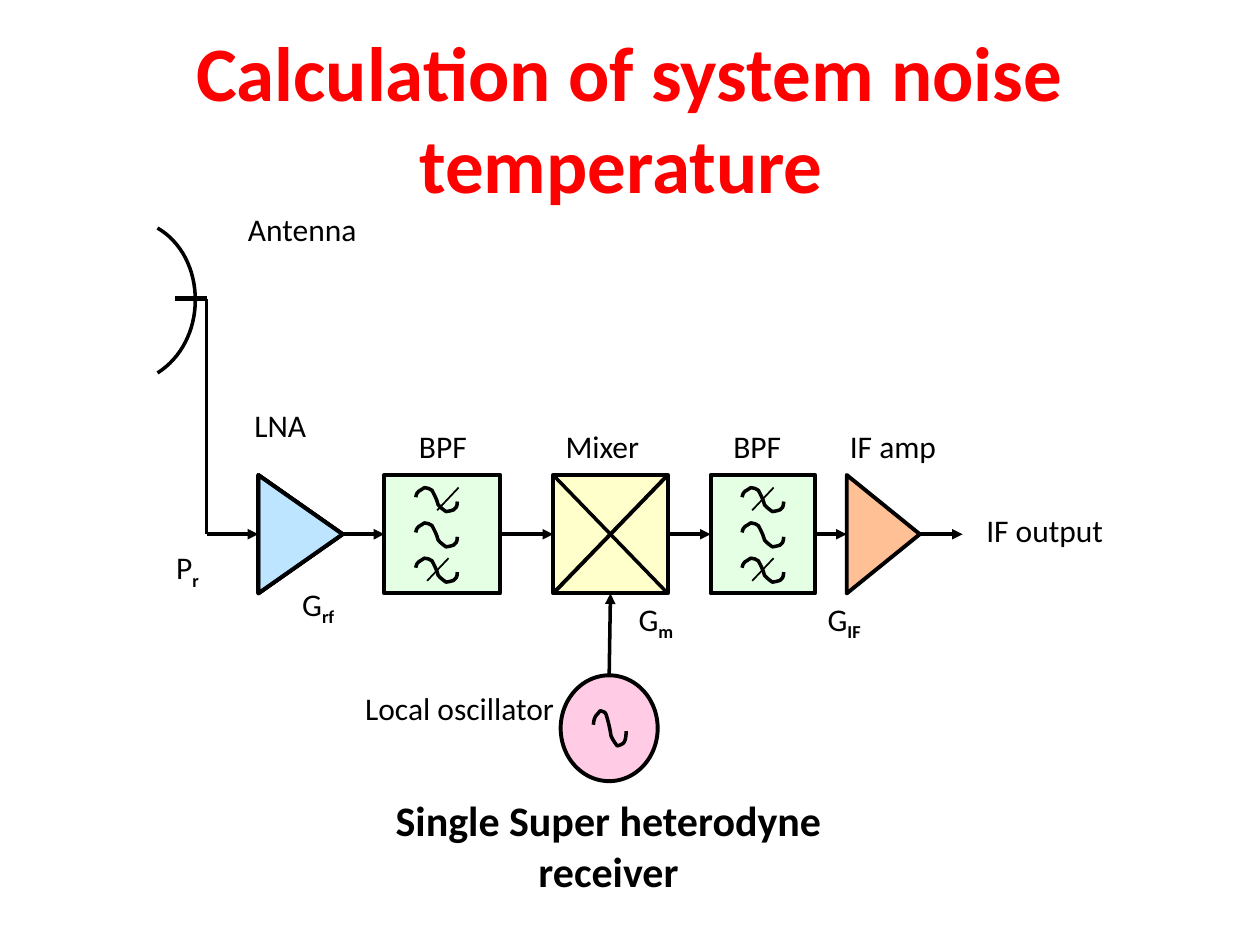
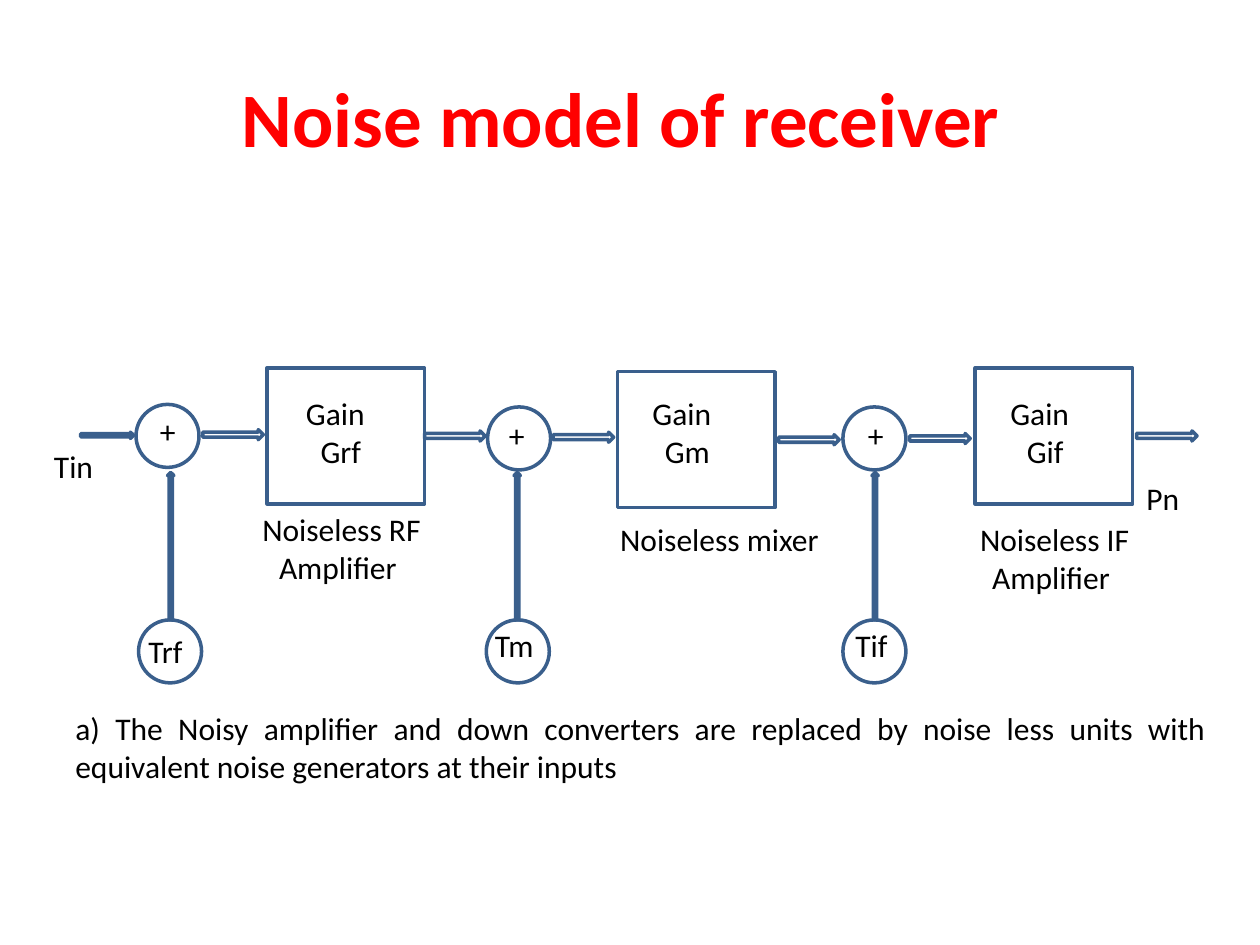
from copy import deepcopy
from dataclasses import dataclass

from lxml import etree
from pptx import Presentation
from pptx.dml.color import RGBColor
from pptx.enum import shapes, text
from pptx.oxml.ns import qn
from pptx.util import Inches, Pt

SHAPE = shapes.MSO_SHAPE
LEFT, CENTER, JUSTIFY = (text.PP_ALIGN.LEFT, text.PP_ALIGN.CENTER,
                         text.PP_ALIGN.JUSTIFY)
TOP_SIDE, LEFT_SIDE, BOTTOM_SIDE, RIGHT_SIDE = range(4)


@dataclass(frozen=True)
class Theme:
    font: str = "Calibri"
    title_color: str = "FF0000"
    ink: str = "000000"
    model_line: str = "3A5F8C"
    filter_fill: str = "CCFFCC"
    mixer_fill: str = "FFFF99"
    oscillator_fill: str = "FF99CC"
    lna_base: str = "CCFFFF"
    lna_tint: str = "99CCFF"
    if_amp_fill: str = "FF6600"
    title_size: int = 44
    caption_size: int = 24
    label_size: int = 18
    wire: float = 2
    outline: float = 2.25


THEME = Theme()

# One wave in a unit square: start, then cubic segments
WAVE_START = (0, 0.4)
WAVE_CURVES = [
    [(0.03, 0.11), (0.09, 0.16), (0.21, 0)],
    [(0.27, 0.05), (0.35, 0), (0.39, 0.11)],
    [(0.44, 0.27), (0.47, 0.37), (0.51, 0.55)],
    [(0.53, 0.6), (0.52, 0.66), (0.54, 0.72)],
    [(0.6, 0.85), (0.73, 1), (0.73, 1)],
    [(0.85, 0.95), (1, 1), (1, 0.58)],
]


def rgb(color):
    return RGBColor.from_string(color)


# Text
def add_text(slide, content, x, y, w, h, *, size=THEME.label_size,
             color=THEME.ink, bold=False, aligns=(LEFT,), wrap=True,
             sub="", middle=False):
    """Lines of content become paragraphs; sub is a bold subscript at the end."""
    box = slide.shapes.add_textbox(Inches(x), Inches(y), Inches(w), Inches(h))
    frame = box.text_frame
    frame.word_wrap = wrap
    if middle:
        frame.vertical_anchor = text.MSO_ANCHOR.MIDDLE
    else:
        frame.auto_size = text.MSO_AUTO_SIZE.SHAPE_TO_FIT_TEXT
    for i, line in enumerate(content.split("\n")):
        paragraph = frame.add_paragraph() if i else frame.paragraphs[0]
        paragraph.alignment = aligns[min(i, len(aligns) - 1)]
        for part in filter(None, (line, sub)):
            run = paragraph.add_run()
            run.text = part
            run.font.name = THEME.font
            run.font.size = Pt(size)
            run.font.bold = bold or part is sub
            run.font.color.rgb = rgb(color)
            if part is sub:
                run._r.get_or_add_rPr().set("baseline", "-25000")


def add_title(slide, title):
    add_text(slide, title, 0.5, 0.3, 9, 1.25, size=THEME.title_size,
             color=THEME.title_color, bold=True, aligns=(CENTER,), middle=True)


# Shapes and lines
def add_block(slide, kind, x, y, w, h, *, fill=None, alpha=50,
              line=THEME.ink, weight=THEME.outline):
    block = slide.shapes.add_shape(kind, Inches(x), Inches(y), Inches(w), Inches(h))
    block.shadow.inherit = False
    block.line.color.rgb = rgb(line)
    block.line.width = Pt(weight)
    if fill is None:
        block.fill.background()
        return block
    block.fill.solid()
    block.fill.fore_color.rgb = rgb(fill)
    color = block.fill._xPr.find(qn("a:solidFill"))[0]
    etree.SubElement(color, qn("a:alpha")).set("val", str(alpha * 1000))
    return block


def add_amplifier(slide, x, y, length, span, fill, alpha):
    """Triangle that points right, with x, y at its upper left corner."""
    amplifier = add_block(slide, SHAPE.ISOSCELES_TRIANGLE, x + (length - span) / 2,
                          y + (span - length) / 2, span, length,
                          fill=fill, alpha=alpha)
    amplifier.rotation = 90


def add_wire(slide, start, end, *, weight=THEME.wire, arrow=False,
             source=None, target=None):
    """source and target are (shape, side) pairs to join the ends to."""
    wire = slide.shapes.add_connector(
        shapes.MSO_CONNECTOR.STRAIGHT, *(Inches(v) for v in (*start, *end)))
    wire.line.color.rgb = rgb(THEME.ink)
    wire.line.width = Pt(weight)
    if arrow:
        tail = etree.SubElement(wire.line._get_or_add_ln(), qn("a:tailEnd"))
        tail.set("type", "triangle")
    etree.SubElement(wire._element.spPr, qn("a:effectLst"))
    if source:
        wire.begin_connect(*source)
    if target:
        wire.end_connect(*target)


def add_curve(slide, start, curves, hub=None):
    """Open cubic outline; a hub adds an unstroked sector that closes there."""
    points = [point for curve in curves for point in curve] + ([hub] if hub else [])
    builder = slide.shapes.build_freeform(*(Inches(v) for v in start))
    builder.add_line_segments([(Inches(x), Inches(y)) for x, y in points], close=False)
    shape = builder.convert_to_shape()
    shape.shadow.inherit = False
    shape.fill.background()
    shape.line.color.rgb = rgb(THEME.ink)
    shape.line.width = Pt(THEME.wire)

    # Turn each three straight steps into one cubic segment
    outline = next(shape._element.iter(qn("a:path")))
    steps = outline.findall(qn("a:lnTo"))
    for i in range(0, 3 * len(curves), 3):
        cubic = etree.Element(qn("a:cubicBezTo"))
        steps[i].addprevious(cubic)
        for step in steps[i:i + 3]:
            cubic.append(step[0])
            outline.remove(step)
    if hub:
        sector = deepcopy(outline)
        sector.set("stroke", "0")
        etree.SubElement(sector, qn("a:close"))
        outline.addnext(sector)
        outline.set("fill", "none")
        outline.remove(steps[-1])


def add_wave(slide, x, y, w, h):
    def place(point):
        return x + point[0] * w, y + point[1] * h
    add_curve(slide, place(WAVE_START),
              [[place(point) for point in curve] for curve in WAVE_CURVES])


def add_band_pass_filter(slide, x, y, w, h, *, wave_x, strikes):
    """Three waves, with the upper and lower ones struck out."""
    body = add_block(slide, SHAPE.RECTANGLE, x, y, w, h, fill=THEME.filter_fill)
    wave_tops = [y + 0.1 + 0.28 * i for i in range(3)]
    for wave_y in wave_tops:
        add_wave(slide, wave_x, wave_y, 0.33, 0.19)
    for strike_x, wave_y in zip(strikes, wave_tops[::2]):
        add_wire(slide, (strike_x + 0.17, wave_y), (strike_x, wave_y + 0.18), weight=1)
    return body


# Slide 1: receiver chain
def draw_receiver(slide):
    add_title(slide, "Calculation of system noise temperature ")
    top, height = 3.77, 0.94
    axis = top + height / 2
    bottom = top + height

    # Antenna, its feed and two fine dots
    add_curve(slide, (1.25, 2.96), [[(1.44, 2.84), (1.55, 2.62), (1.55, 2.38)],
                                    [(1.55, 2.14), (1.44, 1.92), (1.25, 1.81)]],
              hub=(0.97, 2.38))
    add_wire(slide, (1.39, 2.37), (1.64, 2.37), weight=3)
    add_wire(slide, (1.64, axis), (1.64, 2.37))
    for dot, weight in [((2.55, 2.09), 0.75), ((5.97, 5.18), 3)]:
        add_wire(slide, dot, dot, weight=weight)

    # Filters, mixer and oscillator
    rf_filter = add_band_pass_filter(slide, 3.05, top, 0.92, height,
                                     wave_x=3.3, strikes=(3.47, 3.39))
    if_filter = add_band_pass_filter(slide, 5.64, top, 0.83, height,
                                     wave_x=5.89, strikes=(5.97, 5.97))
    mixer = add_block(slide, SHAPE.RECTANGLE, 4.39, top, 0.91, height,
                      fill=THEME.mixer_fill)
    add_wire(slide, (4.39, bottom), (5.3, top), weight=THEME.outline)
    add_wire(slide, (4.39, top), (5.3, bottom))
    oscillator = add_block(slide, SHAPE.OVAL, 4.45, 5.36, 0.77, 0.84,
                           fill=THEME.oscillator_fill)
    add_wave(slide, 4.71, 5.64, 0.26, 0.28)

    # Amplifiers
    corners = [(2.05, top), (2.05, bottom), (2.72, axis)]
    for i, j, weight in [(0, 1, THEME.wire), (0, 2, THEME.outline), (1, 2, THEME.wire)]:
        add_wire(slide, corners[i], corners[j], weight=weight)
    for fill in (THEME.lna_base, THEME.lna_tint):
        add_amplifier(slide, 2.05, top, 0.67, height, fill, 51)
    add_amplifier(slide, 6.72, top, 0.58, height, THEME.if_amp_fill, 41)

    # Signal path
    for start, end, source, target in [
        (1.64, 2.05, None, None),
        (2.72, 3.05, None, (rf_filter, LEFT_SIDE)),
        (3.97, 4.39, (rf_filter, RIGHT_SIDE), (mixer, LEFT_SIDE)),
        (5.3, 5.64, (mixer, RIGHT_SIDE), (if_filter, LEFT_SIDE)),
        (6.47, 6.72, (if_filter, RIGHT_SIDE), None),
        (7.3, 7.64, None, None),
    ]:
        add_wire(slide, (start, axis), (end, axis), arrow=True,
                 source=source, target=target)
    add_wire(slide, (4.84, 5.36), (4.84, bottom), arrow=True,
             source=(oscillator, TOP_SIDE), target=(mixer, BOTTOM_SIDE))

    # Labels
    for label, x, y, w, h in [("Antenna", 1.87, 1.62, 1.07, 0.4),
                              ("LNA", 1.92, 3.17, 0.85, 0.56),
                              ("Mixer", 4.39, 3.34, 1.02, 0.56)]:
        add_text(slide, label, x, y, w, h, wrap=False)
    for label, x, y, w in [("IF amp ", 6.64, 3.34, 0.95),
                           ("IF output ", 7.72, 4.01, 1.2)]:
        add_text(slide, label, x, y, w, 0.4, wrap=False, aligns=(CENTER,))
    for x, w in [(2.89, 1.25), (5.47, 1.08)]:
        add_text(slide, "BPF", x, 3.34, w, 0.56, aligns=(CENTER,))
    add_text(slide, "Local oscillator", 2.8, 5.42, 2.5, 0.4)
    for symbol, sub, x, y, w, h in [("P", "r", 1.3, 4.3, 0.51, 0.56),
                                    ("G", "rf", 2.3, 4.59, 0.47, 0.4),
                                    ("G", "m", 4.97, 4.71, 0.66, 0.56),
                                    ("G", "IF", 6.47, 4.71, 0.66, 0.56)]:
        add_text(slide, symbol, x, y, w, h, sub=sub, wrap=False)
    add_text(slide, "Single Super heterodyne receiver", 2.83, 6.26, 4, 0.91,
             size=THEME.caption_size, bold=True, aligns=(CENTER,))


# Slide 2: noise model
def add_model_part(slide, kind, x, y, w, h):
    add_block(slide, kind, x, y, w, h, line=THEME.model_line, weight=THEME.wire)


def add_noise_stage(slide, *, adder, plus, source, source_label, noise_arrow_x,
                    gain_box, gain_x, gain, unit, unit_at, unit_h=0.71):
    """Adder fed by a noise source, followed by a noiseless gain block."""
    for x, y in (adder, (source, 4.92)):
        add_model_part(slide, SHAPE.OVAL, x, y, 0.5, 0.5)
    add_model_part(slide, SHAPE.UP_ARROW, noise_arrow_x, 3.75, 0.05, 1.17)
    add_model_part(slide, SHAPE.RECTANGLE, *gain_box, 1.25, 1.08)
    add_text(slide, "+", *plus, 0.5, 0.42)
    add_text(slide, f"Gain\n{gain}", gain_x, 3.08, 0.75, 0.71, aligns=(LEFT, CENTER))
    name, x, y = source_label
    add_text(slide, name, x, y, 0.58, 0.4)
    add_text(slide, unit, *unit_at, 2.08, unit_h, aligns=(CENTER,))


def draw_noise_model(slide):
    add_title(slide, "Noise model of receiver ")

    # Stages
    add_noise_stage(slide, adder=(1.08, 3.21), plus=(1.17, 3.22), source=1.1,
                    source_label=("Trf", 1.08, 4.97), noise_arrow_x=1.33,
                    gain_box=(2.12, 2.92), gain_x=2.33, gain="Grf",
                    unit="Noiseless RF Amplifier ", unit_at=(1.67, 4))
    add_noise_stage(slide, adder=(3.87, 3.23), plus=(3.94, 3.25), source=3.86,
                    source_label=("Tm", 3.83, 4.92), noise_arrow_x=4.08,
                    gain_box=(4.9, 2.95), gain_x=5.08, gain="Gm",
                    unit="Noiseless mixer", unit_at=(4.67, 4.08), unit_h=0.4)
    add_noise_stage(slide, adder=(6.69, 3.23), plus=(6.79, 3.25), source=6.69,
                    source_label=("Tif", 6.69, 4.92), noise_arrow_x=6.92,
                    gain_box=(7.74, 2.92), gain_x=7.92, gain="Gif",
                    unit="Noiseless IF Amplifier ", unit_at=(7.33, 4.08))

    # Signal path
    add_model_part(slide, SHAPE.RIGHT_ARROW, 0.64, 3.43, 0.42, 0.05)
    for x, y in [(1.61, 3.41), (3.37, 3.42), (4.39, 3.43),
                 (6.18, 3.45), (7.22, 3.44), (9.02, 3.42)]:
        add_model_part(slide, SHAPE.RIGHT_ARROW, x, y, 0.48, 0.08)

    # Input, output and explanation
    add_text(slide, "Tin", 0.33, 3.5, 0.83, 0.4)
    add_text(slide, "Pn", 9, 3.75, 0.83, 0.4)
    add_text(slide, "a) The Noisy amplifier and down converters are replaced by noise "
             "less units with equivalent noise generators at their inputs ",
             0.5, 5.58, 9.17, 0.71, aligns=(JUSTIFY,))


def main():
    deck = Presentation()
    deck.slide_width, deck.slide_height = Inches(10), Inches(7.5)
    blank = deck.slide_layouts[6]
    for draw in (draw_receiver, draw_noise_model):
        draw(deck.slides.add_slide(blank))
    deck.save("out.pptx")


if __name__ == "__main__":
    main()
